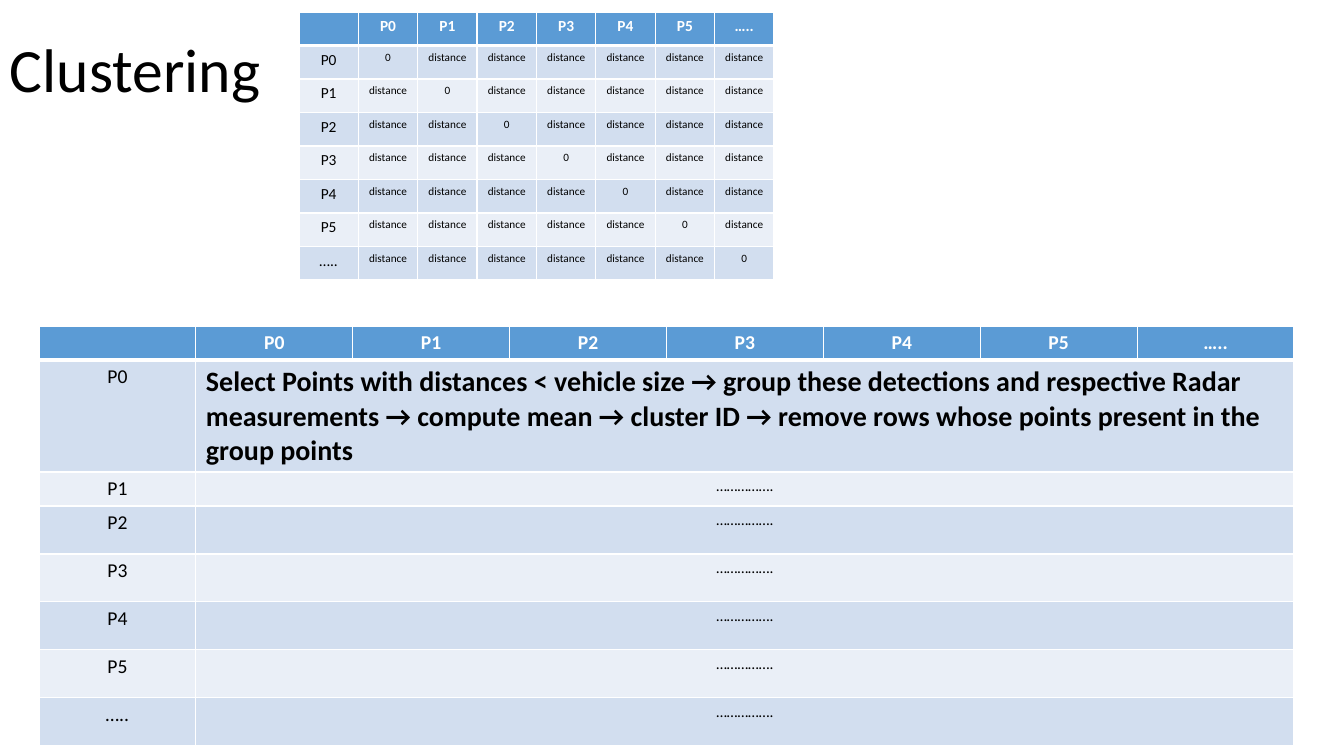
import pptx
import pptx.util
import pptx.dml.color
import pptx.enum.text
import pptx.oxml.ns
from lxml import etree

# Content
TITLE = "Clustering"
POINTS = ["P0", "P1", "P2", "P3", "P4", "P5", "….."]
STEPS = (
    "Select Points with distances < vehicle size → group these detections "
    "and respective Radar measurements → compute mean → cluster ID → "
    "remove rows whose points present in the group points"
)
DOTS = "……………."

HEADER = ["", *POINTS]
distance_rows = [HEADER] + [
    [point] + ["0" if other == point else "distance" for other in POINTS]
    for point in POINTS
]
cluster_rows = [HEADER] + [
    [point, STEPS if point == "P0" else DOTS] + [""] * (len(POINTS) - 1)
    for point in POINTS
]

# Look
COLORS = {
    "header": "5B9BD5", "odd": "D2DEEF", "even": "EAEFF7",
    "line": "FFFFFF", "light": "FFFFFF", "dark": "000000",
}
FONT = "Calibri"
CENTER = pptx.enum.text.PP_ALIGN.CENTER
LEFT = pptx.enum.text.PP_ALIGN.LEFT

# Sizes in px
EMU_PER_PX = 914400 / 100.8
SLIDE = (1344, 756)
TITLE_BOX = (0, 0, 1160, 146)
CLUSTER_BOX = (39, 326, 1255, 421)
CLUSTER_HEIGHTS = [34, 112, 34] + [48] * 5
DISTANCE_BOX = (299, 12, 475, 268)
DISTANCE_HEIGHTS = [DISTANCE_BOX[3] / len(distance_rows)] * len(distance_rows)


def px(length):
    return pptx.util.Emu(round(length * EMU_PER_PX))


def rgb(name):
    return pptx.dml.color.RGBColor.from_string(COLORS[name])


def write(paragraph, text, size, color, bold=False, align=LEFT):
    paragraph.alignment = align
    if not text:
        ending = etree.SubElement(paragraph._p, pptx.oxml.ns.qn("a:endParaRPr"))
        ending.set("sz", str(size * 100))
        return
    run = paragraph.add_run()
    run.text = text
    font_format = {"name": FONT, "size": pptx.util.Pt(size), "bold": bold}
    for attribute, value in font_format.items():
        setattr(run.font, attribute, value)
    run.font.color.rgb = rgb(color)


def add_borders(cell, row):
    widths = {"L": 1, "R": 1, "T": 3 if row == 1 else 1, "B": 3 if row == 0 else 1}
    properties = cell._tc.get_or_add_tcPr()
    for side, width in widths.items():
        line = etree.SubElement(properties, pptx.oxml.ns.qn(f"a:ln{side}"))
        line.set("w", str(pptx.util.Pt(width)))
        fill = etree.SubElement(line, pptx.oxml.ns.qn("a:solidFill"))
        color = etree.SubElement(fill, pptx.oxml.ns.qn("a:srgbClr"))
        color.set("val", COLORS["line"])


def add_grid(slide, rows, box, heights, label_size, body_size, merged=False):
    columns = len(HEADER)
    table = slide.shapes.add_table(len(rows), columns, *map(px, box)).table
    table.first_row = table.horz_banding = False
    for column in table.columns:
        column.width = px(box[2] / columns)
    for row, (texts, height) in enumerate(zip(rows, heights)):
        table.rows[row].height = px(height)
        if merged and row > 0:
            table.cell(row, 1).merge(table.cell(row, columns - 1))
        fill = "header" if row == 0 else "odd" if row % 2 else "even"
        for column, text in enumerate(texts):
            cell = table.cell(row, column)
            add_borders(cell, row)
            cell.fill.solid()
            cell.fill.fore_color.rgb = rgb(fill)
            steps = text == STEPS
            is_label = row == 0 or column == 0
            write(
                cell.text_frame.paragraphs[0], text,
                size=20 if steps else label_size if is_label else body_size,
                color="light" if row == 0 else "dark",
                bold=row == 0 or steps,
                align=LEFT if steps else CENTER,
            )


def main():
    presentation = pptx.Presentation()
    presentation.slide_width, presentation.slide_height = map(px, SLIDE)
    slide = presentation.slides.add_slide(presentation.slide_layouts[6])

    # Title
    frame = slide.shapes.add_textbox(*map(px, TITLE_BOX)).text_frame
    frame.word_wrap = True
    frame.vertical_anchor = pptx.enum.text.MSO_ANCHOR.MIDDLE
    frame.paragraphs[0].line_spacing = 0.9
    write(frame.paragraphs[0], TITLE, 44, "dark")

    # Clustering steps, then the distance matrix
    add_grid(slide, cluster_rows, CLUSTER_BOX, CLUSTER_HEIGHTS, 14, 11, merged=True)
    add_grid(slide, distance_rows, DISTANCE_BOX, DISTANCE_HEIGHTS, 11, 8)

    presentation.save("out.pptx")


if __name__ == "__main__":
    main()
